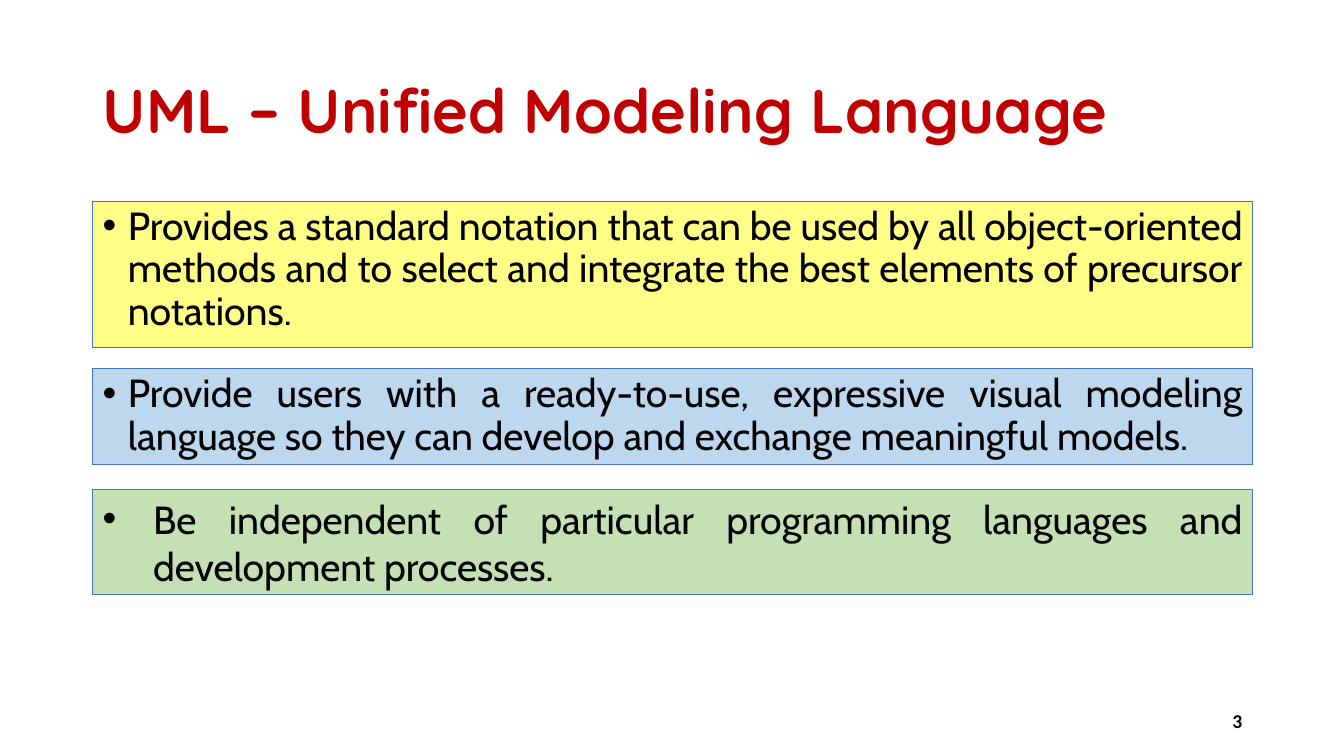
from lxml import etree
from pptx import Presentation
from pptx.dml.color import RGBColor
from pptx.enum.shapes import MSO_SHAPE
from pptx.enum.text import MSO_ANCHOR, MSO_AUTO_SIZE, PP_ALIGN
from pptx.oxml.ns import qn
from pptx.util import Inches, Pt

RECT = MSO_SHAPE.RECTANGLE
TOP, MIDDLE = MSO_ANCHOR.TOP, MSO_ANCHOR.MIDDLE
FIXED = MSO_AUTO_SIZE.NONE
LEFT, RIGHT, JUSTIFY = PP_ALIGN.LEFT, PP_ALIGN.RIGHT, PP_ALIGN.JUSTIFY

COLORS = {
    "title": "C00000",
    "text": "000000",
    "edge": "4472C4",
    "yellow": "FFFF87",
    "blue": "BDD7EE",
    "green": "C5E0B4",
}
MARGIN, WIDTH = 0.92, 11.5

GOALS = [
    (2, 1.45, "yellow", 0.25, 0.9, 10,
     "Provides a standard notation that can be used by all object-oriented "
     "methods and to select and integrate the best elements of precursor notations."),
    (3.66, 0.95, "blue", 0.25, 0.9, 10,
     "Provide users with a ready-to-use, expressive visual modeling "
     "language so they can develop and exchange meaningful models."),
    (4.86, 1.04, "green", 0.5, 1, 0,
     "Be independent of particular programming languages and development processes."),
]


class Deck:
    """Holds the style and the current slide, and adds its elements."""

    def __init__(self):
        self.show = Presentation()
        self.show.slide_width = Inches(13.33)
        self.show.slide_height = Inches(7.5)
        self.slide = self.show.slides.add_slide(self.show.slide_layouts[5])

    def color(self, name):
        return RGBColor.from_string(COLORS[name])

    def label(self, shape, text, font, size, align, anchor, color="text", bold=False):
        frame = shape.text_frame
        frame.word_wrap = True
        frame.auto_size = FIXED
        frame.vertical_anchor = anchor
        para = frame.paragraphs[0]
        para.alignment = align
        run = para.add_run()
        run.text = text
        run.font.name = font
        run.font.size = Pt(size)
        run.font.bold = bold
        run.font.color.rgb = self.color(color)
        return para

    def title(self, text):
        shape = self.slide.shapes.title
        shape.left, shape.top = Inches(MARGIN), Inches(0.4)
        shape.width, shape.height = Inches(WIDTH), Inches(1.45)
        para = self.label(shape, text, "Quicksand", 44, LEFT, MIDDLE, "title", True)
        para.line_spacing = 0.9

    def goal(self, top, height, fill, indent, spacing, before, text):
        shape = self.slide.shapes.add_shape(
            RECT, Inches(MARGIN), Inches(top), Inches(WIDTH), Inches(height))
        shape.shadow.inherit = False
        shape.fill.solid()
        shape.fill.fore_color.rgb = self.color(fill)
        shape.line.color.rgb = self.color("edge")
        shape.line.width = Pt(0.75)
        para = self.label(shape, text, "Cabin", 28, JUSTIFY, TOP)
        para.line_spacing = spacing
        para.space_before = Pt(before)
        self.bullet(para, indent)

    def bullet(self, para, indent):
        props = para._p.get_or_add_pPr()
        props.set("marL", str(Inches(indent)))
        props.set("indent", str(-Inches(indent)))
        etree.SubElement(props, qn("a:buFont")).set("typeface", "Arial")
        etree.SubElement(props, qn("a:buChar")).set("char", "•")

    def number(self, text):
        box = self.slide.shapes.add_textbox(
            Inches(9.42), Inches(6.95), Inches(3), Inches(0.4))
        self.label(box, text, "Calibri", 14, RIGHT, MIDDLE, bold=True)


def main():
    deck = Deck()
    deck.title("UML – Unified Modeling Language")
    for goal in GOALS:
        deck.goal(*goal)
    deck.number("3")
    deck.show.save("out.pptx")


if __name__ == "__main__":
    main()
